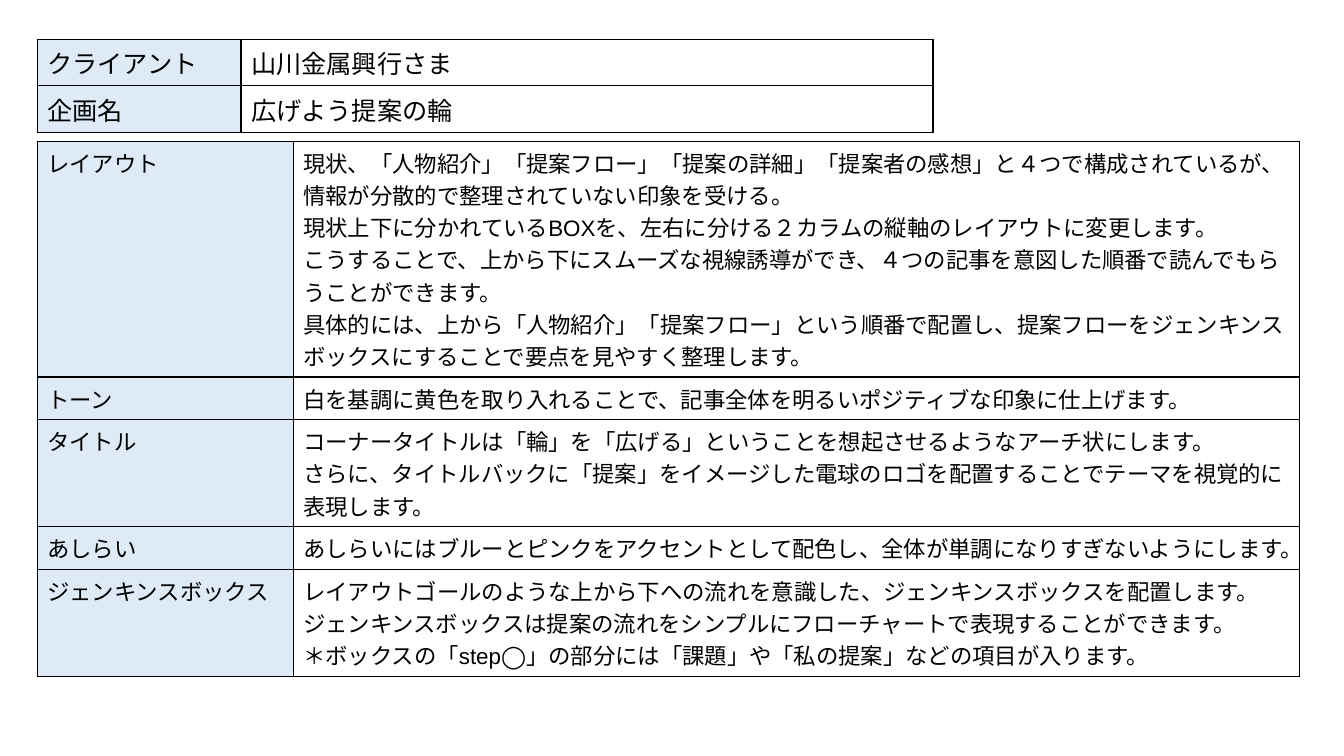
import pptx
import pptx.util
import pptx.dml.color
import pptx.enum.text
import pptx.enum.lang
import lxml.etree
import pptx.oxml.ns

Pt = pptx.util.Pt
qn = pptx.oxml.ns.qn
sub = lxml.etree.SubElement
anchor = pptx.enum.text.MSO_ANCHOR
cjk = "Noto Sans CJK JP"


def color(code):
    return pptx.dml.color.RGBColor.from_string(code)


def stroke(line, width):
    line.set("w", str(Pt(width)))
    sub(sub(line, qn("a:solidFill")), qn("a:srgbClr")).set("val", str(color("000000")))


client = [
    ("クライアント", ["山川金属興行さま"]),
    ("企画名", ["広げよう提案の輪"]),
]
plan = [
    ("レイアウト", [
        "現状、「人物紹介」「提案フロー」「提案の詳細」「提案者の感想」と４つで構成されているが、情報が分散的で整理されていない印象を受ける。",
        "現状上下に分かれているBOXを、左右に分ける２カラムの縦軸のレイアウトに変更します。",
        "こうすることで、上から下にスムーズな視線誘導ができ、４つの記事を意図した順番で読んでもらうことができます。",
        "具体的には、上から「人物紹介」「提案フロー」という順番で配置し、提案フローをジェンキンスボックスにすることで要点を見やすく整理します。",
    ]),
    ("トーン", ["白を基調に黄色を取り入れることで、記事全体を明るいポジティブな印象に仕上げます。"]),
    ("タイトル", [
        "コーナータイトルは「輪」を「広げる」ということを想起させるようなアーチ状にします。",
        "さらに、タイトルバックに「提案」をイメージした電球のロゴを配置することでテーマを視覚的に表現します。",
    ]),
    ("あしらい", ["あしらいにはブルーとピンクをアクセントとして配色し、全体が単調になりすぎないようにします。"]),
    ("ジェンキンスボックス", [
        "レイアウトゴールのような上から下への流れを意識した、ジェンキンスボックスを配置します。",
        "ジェンキンスボックスは提案の流れをシンプルにフローチャートで表現することができます。",
        "＊ボックスの「step◯」の部分には「課題」や「私の提案」などの項目が入ります。",
    ]),
]
grids = [
    {"data": client, "top": 28, "cols": [145.6, 494.2], "rows": [33, 33],
     "size": 18, "face": cjk, "anchor": anchor.TOP, "edge": False},
    {"data": plan, "top": 100.8, "cols": [182.8, 718.6], "rows": [168.5, 30, 76.5, 30.5, 76.5],
     "size": 16, "face": "Arial", "anchor": anchor.MIDDLE, "edge": True},
]

deck = pptx.Presentation()
deck.slide_width, deck.slide_height = Pt(960), Pt(540)
slide = deck.slides.add_slide(deck.slide_layouts[6])

for grid in grids:
    cols, rows = grid["cols"], grid["rows"]
    table = slide.shapes.add_table(
        len(rows), 2, Pt(26.6), Pt(grid["top"]), Pt(sum(cols)), Pt(sum(rows))).table
    for name, value in {"first_row": False, "horz_banding": False}.items():
        setattr(table, name, value)
    for col, width in zip(table.columns, cols):
        col.width = Pt(width)
    for row, height, (label, lines) in zip(table.rows, rows, grid["data"]):
        row.height = Pt(height)
        looks = [
            ([label], "DEEBF7", cjk, anchor.TOP, grid["edge"]),
            (lines, "FFFFFF", grid["face"], grid["anchor"], False),
        ]
        for cell, (texts, tint, face, place, edge) in zip(row.cells, looks):
            cell.vertical_anchor = place
            props = cell._tc.get_or_add_tcPr()
            for side in ("a:lnL", "a:lnR", "a:lnT", "a:lnB"):
                stroke(sub(props, qn(side)), 1)
            cell.fill.solid()
            cell.fill.fore_color.rgb = color(tint)
            frame = cell.text_frame
            frame.text = "\n".join(texts)
            form = {"name": face, "size": Pt(grid["size"]),
                    "language_id": pptx.enum.lang.MSO_LANGUAGE_ID.JAPANESE}
            for para in frame.paragraphs:
                run = para.runs[0]
                for name, value in form.items():
                    setattr(run.font, name, value)
                run.font.color.rgb = color("000000")
                mark = run._r.get_or_add_rPr()
                sub(mark, qn("a:ea")).set("typeface", cjk)
                if edge:
                    line = lxml.etree.Element(qn("a:ln"))
                    stroke(line, 0.75)
                    mark.insert(0, line)

deck.save("out.pptx")
